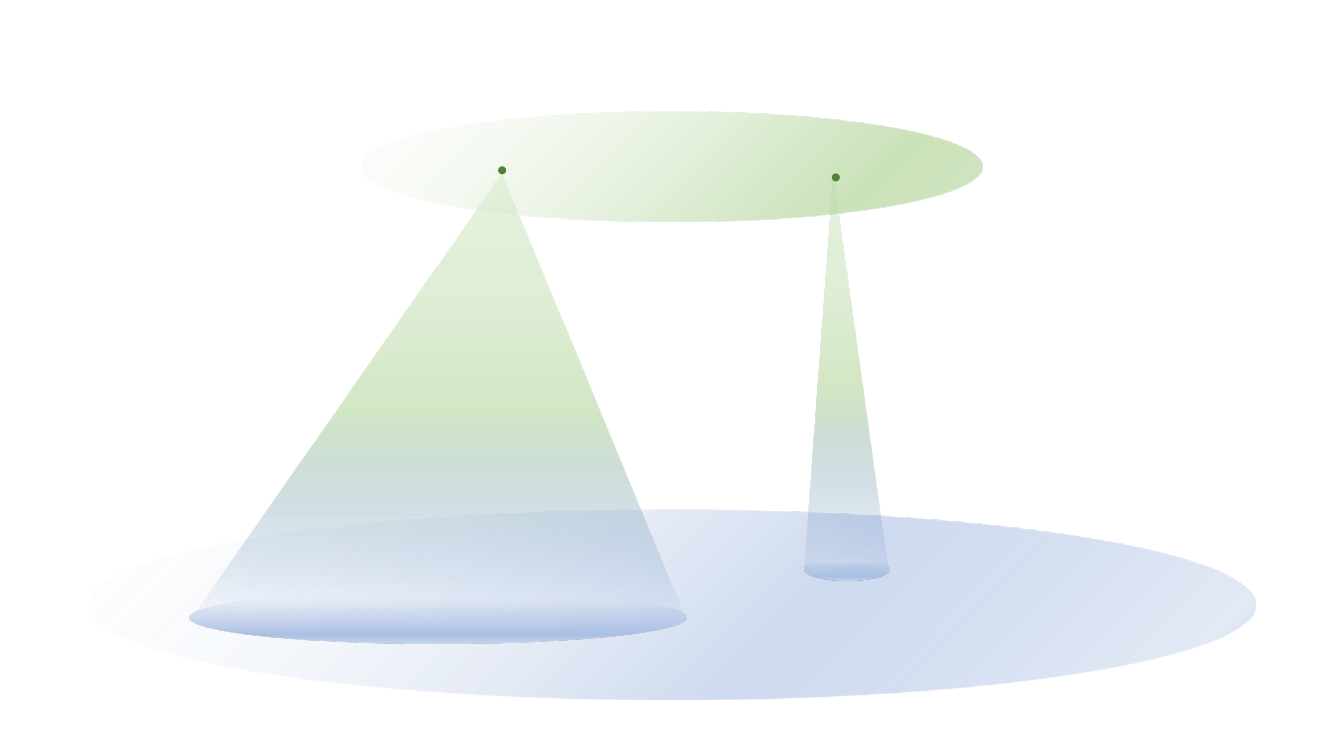
from pptx import Presentation
from pptx.dml.color import RGBColor
from pptx.enum.shapes import MSO_SHAPE as Preset
from pptx.oxml import parse_xml
from pptx.oxml.ns import nsdecls, qn
from pptx.util import Inches

presentation = Presentation()
presentation.slide_width = Inches(13.33)
presentation.slide_height = Inches(7.5)
slide = presentation.slides.add_slide(presentation.slide_layouts[6])


def add_plain_shape(preset, box):
    shape = slide.shapes.add_shape(preset, *[Inches(length) for length in box])
    shape.shadow.inherit = False
    shape.line.fill.background()
    return shape


def fill_gradient(shape, angle, stops):
    shape.fill.background()
    stop_xml = "".join(
        f'<a:gs pos="{position * 1000}"><a:srgbClr val="{color}">'
        f'<a:alpha val="{opacity * 1000}"/></a:srgbClr></a:gs>'
        for position, color, opacity in stops
    )
    gradient = parse_xml(
        f'<a:gradFill {nsdecls("a")} rotWithShape="1"><a:gsLst>{stop_xml}</a:gsLst>'
        f'<a:lin ang="{angle * 60000}" scaled="0"/></a:gradFill>'
    )
    properties = shape._element.spPr
    properties.replace(properties.find(qn("a:noFill")), gradient)


ground_stops = [(0, "F6F8FC", 4), (60, "BFCFEA", 75), (85, "ABC0E4", 39),
                (92, "ABC0E4", 33), (100, "EDEDED", 100)]
sky_stops = [(0, "F8FBF6", 16), (58, "BEDCAA", 53), (79, "BEDCAA", 80), (100, "D4E8C6", 100)]
beam_stops = [(0, "E2F0D9", 71), (25, "BEDCAA", 46), (53, "BEDCAA", 68), (100, "4472C4", 0)]
wide_spot_stops, narrow_spot_stops = [
    [(0, "F6F8FC", 0), (35, "ABC0E4", opacity), (83, "ABC0E4", 100), (100, "C7D5ED", 100)]
    for opacity in (35, 47)
]

layers = [
    (Preset.OVAL, (0.88, 5.06, 11.57, 1.88), None, 45, ground_stops),
    (Preset.ISOSCELES_TRIANGLE, (1.88, 1.72, 4.93, 4.44), 0.628, 90, beam_stops),
    (Preset.OVAL, (1.88, 5.87, 4.93, 0.51), None, 90, wide_spot_stops),
    (Preset.ISOSCELES_TRIANGLE, (7.97, 1.74, 0.85, 4.01), 0.347, 90, beam_stops),
    (Preset.OVAL, (3.59, 1.11, 6.15, 1.09), None, 45, sky_stops),
    (Preset.OVAL, (7.98, 5.53, 0.84, 0.23), None, 90, narrow_spot_stops),
]
for preset, box, apex, angle, stops in layers:
    layer = add_plain_shape(preset, box)
    if apex is not None:
        layer.adjustments[0] = apex
    fill_gradient(layer, angle, stops)

for left, top in [(4.94, 1.65), (8.25, 1.72)]:
    source_point = add_plain_shape(Preset.OVAL, (left, top, 0.08, 0.08))
    source_point.fill.solid()
    source_point.fill.fore_color.rgb = RGBColor.from_string("548235")

presentation.save("out.pptx")
